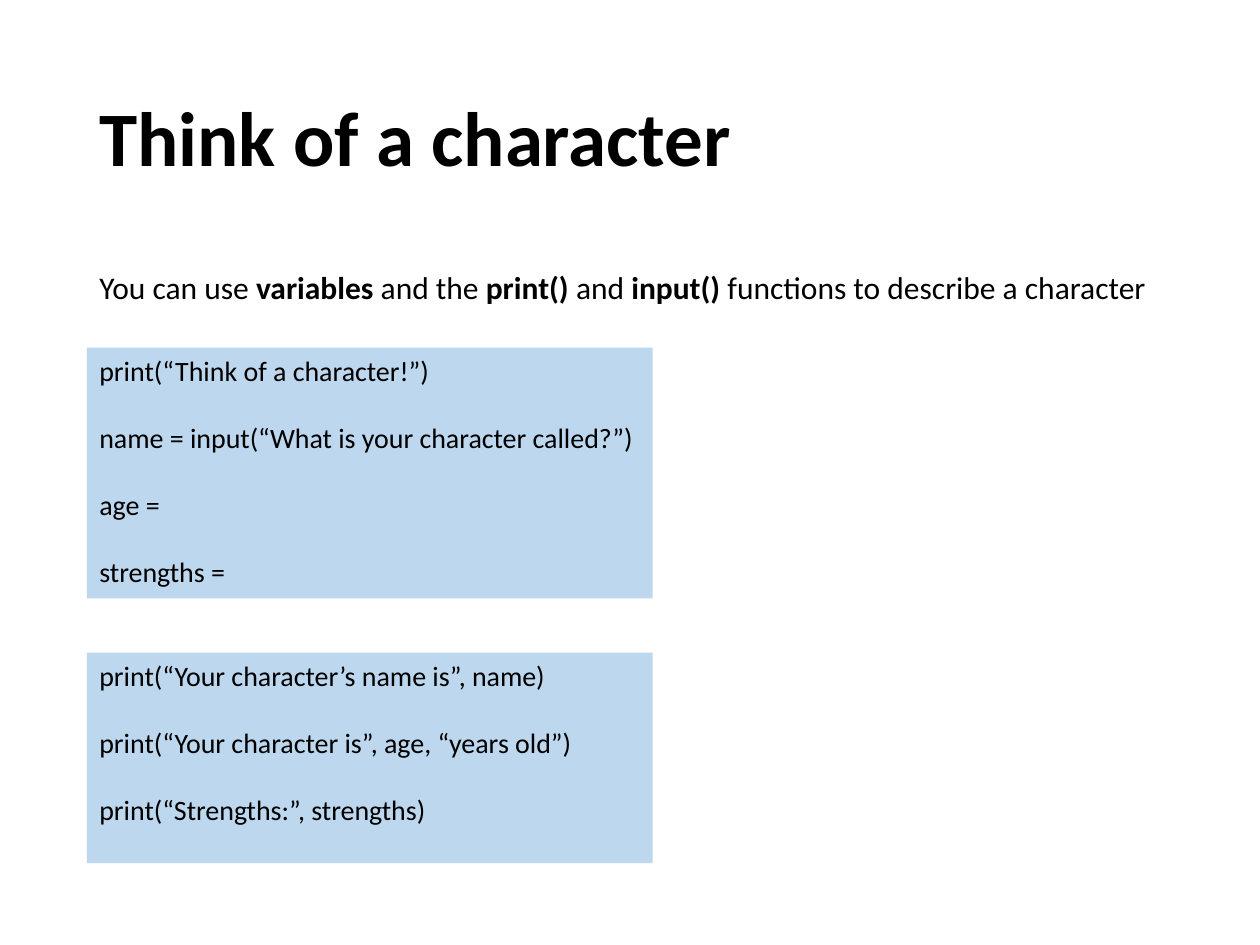
from pptx import Presentation
from pptx.dml.color import RGBColor
from pptx.enum.shapes import MSO_SHAPE as Shape
from pptx.enum.text import MSO_ANCHOR as Anchor, PP_ALIGN as Align
from pptx.util import Inches, Pt

FONT = "Calibri"
BLACK = "000000"
PALE_BLUE = "BDD7EE"
LEFT = 0.69
CODE_WIDTH = 4.49
CODE_SIZE = 16
CODE_GAP = 19  # points between code lines, about one empty line

INPUT_CODE = [
    "print(“Think of a character!”)",
    "name = input(“What is your character called?”)",
    "age =",
    "strengths =",
]
OUTPUT_CODE = [
    "print(“Your character’s name is”, name)",
    "print(“Your character is”, age, “years old”)",
    "print(“Strengths:”, strengths)",
]
INTRO = [
    ("You can use ", False),
    ("variables", True),
    (" and the ", False),
    ("print() ", True),
    ("and ", False),
    ("input() ", True),
    ("functions to describe a character", False),
]


def color(value):
    return RGBColor.from_string(value)


def add_span(para, text, size, bold=False):
    span = para.add_run()
    span.text = text
    span.font.name = FONT
    span.font.size = Pt(size)
    span.font.bold = bold
    span.font.color.rgb = color(BLACK)


def add_text(page, top, width, height, spans, size, anchor=Anchor.TOP, line_spacing=1.0):
    box = page.shapes.add_textbox(Inches(LEFT), Inches(top), Inches(width), Inches(height))
    frame = box.text_frame
    frame.word_wrap = True
    frame.vertical_anchor = anchor
    para = frame.paragraphs[0]
    para.line_spacing = line_spacing
    for text, bold in spans:
        add_span(para, text, size, bold)


def add_code(page, top, height, lines):
    box = page.shapes.add_shape(
        Shape.RECTANGLE, Inches(LEFT), Inches(top), Inches(CODE_WIDTH), Inches(height))
    box.shadow.inherit = False
    box.fill.solid()
    box.fill.fore_color.rgb = color(PALE_BLUE)
    box.line.fill.background()
    frame = box.text_frame
    frame.word_wrap = True
    frame.vertical_anchor = Anchor.TOP
    for index, line in enumerate(lines):
        para = frame.add_paragraph() if index else frame.paragraphs[0]
        para.alignment = Align.LEFT
        para.space_before = Pt(CODE_GAP if index else 0)
        add_span(para, line, CODE_SIZE)


def main():
    deck = Presentation()
    deck.slide_width, deck.slide_height = Inches(10), Inches(7.5)
    page = deck.slides.add_slide(deck.slide_layouts[6])

    # Heading
    add_text(page, 0.4, 8.62, 1.45, [("Think of a character", True)], 44, Anchor.MIDDLE, 0.9)

    # Code boxes: asking, then reporting
    add_code(page, 2.76, 1.99, INPUT_CODE)
    add_code(page, 5.18, 1.67, OUTPUT_CODE)

    # Introduction
    add_text(page, 2.08, 8.6, 0.4, INTRO, 18)

    deck.save("out.pptx")


if __name__ == "__main__":
    main()
